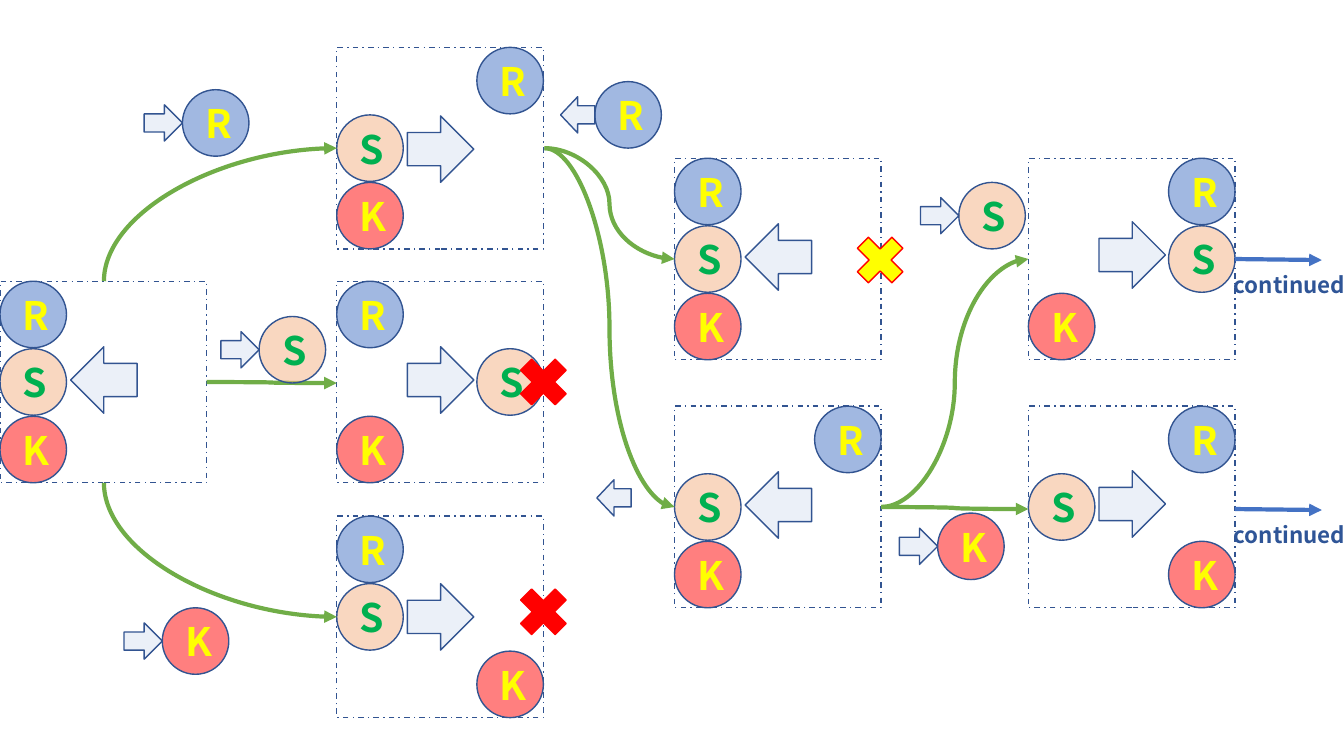
import lxml.etree
import pptx
import pptx.dml.color
import pptx.enum.dml
import pptx.enum.shapes
import pptx.enum.text
import pptx.oxml.ns
import pptx.util

Inches = pptx.util.Inches
PRESET = pptx.enum.shapes.MSO_SHAPE
CONNECTOR = pptx.enum.shapes.MSO_CONNECTOR
qn = pptx.oxml.ns.qn

OUTLINE = "325491"
BLUE = "4472C4"
GREEN = "70AD47"
RED = "FF0000"
YELLOW = "FFFF00"
TOKENS = {"R": (BLUE, YELLOW), "S": ("F4B183", "00B050"), "K": (RED, YELLOW)}
TOKEN_SIZE = 0.66
TOKEN_STEP = 0.67
RIGHT_BANK = 1.39
PANEL_WIDTH, PANEL_HEIGHT = 2.05, 2
ARROWS = {"left": PRESET.LEFT_ARROW, "right": PRESET.RIGHT_ARROW}


def rgb(hex_colour):
    """Turn a hex string into a colour."""
    return pptx.dml.color.RGBColor.from_string(hex_colour)


def apply(target, values):
    """Set every attribute named in a dict."""
    for name, value in values.items():
        setattr(target, name, value)


class RiverDiagram:
    """Draw the parts of the diagram on one slide in a shared style."""

    font = {"name": "Noto Sans CJK SC", "bold": True}
    frame = {"word_wrap": True, "auto_size": pptx.enum.text.MSO_AUTO_SIZE.SHAPE_TO_FIT_TEXT}

    def __init__(self, slide):
        """Keep the slide to draw on."""
        self.shapes = slide.shapes

    def shape(self, preset, left, top, width, height, fill=None, opacity=100, outline=OUTLINE):
        """Add an outlined preset shape with an optional translucent fill."""
        shape = self.shapes.add_shape(preset, Inches(left), Inches(top), Inches(width), Inches(height))
        shape.shadow.inherit = False
        shape.line.color.rgb = rgb(outline)
        shape.line.width = pptx.util.Pt(1)
        if fill is None:
            shape.fill.background()
            return shape
        shape.fill.solid()
        shape.fill.fore_color.rgb = rgb(fill)
        if opacity < 100:
            colour = shape._element.spPr.find(qn("a:solidFill")).find(qn("a:srgbClr"))
            lxml.etree.SubElement(colour, qn("a:alpha"), val=str(opacity * 1000))
        return shape

    def text(self, words, left, top, width, height, size, colour):
        """Add a centred bold text box."""
        box = self.shapes.add_textbox(Inches(left), Inches(top), Inches(width), Inches(height))
        apply(box.text_frame, self.frame)
        paragraph = box.text_frame.paragraphs[0]
        paragraph.alignment = pptx.enum.text.PP_ALIGN.CENTER
        run = paragraph.add_run()
        run.text = words
        apply(run.font, {**self.font, "size": pptx.util.Pt(size)})
        run.font.color.rgb = rgb(colour)

    def token(self, letter, left, top):
        """Add a lettered circle."""
        fill, colour = TOKENS[letter]
        self.shape(PRESET.OVAL, left, top, TOKEN_SIZE, TOKEN_SIZE, fill, 50)
        self.text(letter, left + 0.13, top + 0.05, 0.4, 0.57, 28, colour)

    def arrow(self, direction, left, top, width=TOKEN_SIZE, height=TOKEN_SIZE):
        """Add a pale block arrow."""
        self.shape(ARROWS[direction], left, top, width, height, BLUE, 10)

    def state(self, left, top, across, direction, arrow_drop):
        """Add a panel whose tokens stand on the left or the right bank."""
        for row, letter in enumerate(TOKENS):
            bank = RIGHT_BANK if letter in across else 0
            self.token(letter, left + bank, top + row * TOKEN_STEP)
        self.arrow(direction, left + 0.7, top + arrow_drop)
        panel = self.shape(PRESET.RECTANGLE, left, top, PANEL_WIDTH, PANEL_HEIGHT)
        panel.line.dash_style = pptx.enum.dml.MSO_LINE.DASH_DOT

    def move(self, letter, left, top, direction):
        """Add a carried token with its small arrow."""
        width = 0.38 if direction == "right" else 0.34
        self.arrow(direction, left - width, top + 0.15, width, 0.36)
        self.token(letter, left, top)

    def cross(self, left, top, fill):
        """Add a red-edged cross."""
        self.shape(PRESET.MATH_MULTIPLY, left, top, TOKEN_SIZE, TOKEN_SIZE, fill, outline=RED)

    def connector(self, kind, start, end, colour):
        """Add a connector that ends in an arrowhead."""
        link = self.shapes.add_connector(kind, *(Inches(value) for value in start + end))
        link.line.color.rgb = rgb(colour)
        link.line.width = pptx.util.Pt(3)
        lxml.etree.SubElement(link.line._get_or_add_ln(), qn("a:tailEnd"), type="triangle")
        lxml.etree.SubElement(link._element.spPr, qn("a:effectLst"))
        return link

    def bend(self, start, end):
        """Add a quarter curve that leaves vertically and arrives horizontally."""
        middle_x, middle_y = (start[0] + end[0]) / 2, (start[1] + end[1]) / 2
        turn = 1 if end[1] < start[1] else -1
        unturned = [(middle_x + turn * (y - middle_y), middle_y - turn * (x - middle_x))
                    for x, y in (start, end)]
        properties = self.connector(CONNECTOR.CURVE, *unturned, GREEN)._element.spPr
        properties.find(qn("a:xfrm")).set("rot", str(turn * 90 % 360 * 60000))
        properties.find(qn("a:prstGeom")).set("prst", "curvedConnector2")


presentation = pptx.Presentation()
apply(presentation, {"slide_width": Inches(13.33), "slide_height": Inches(7.5)})
diagram = RiverDiagram(presentation.slides.add_slide(presentation.slide_layouts[6]))

STATES = [
    (0, 2.79, "", "left", 0.65),
    (3.34, 0.47, "R", "right", 0.68),
    (3.34, 2.79, "S", "right", 0.65),
    (3.34, 5.12, "K", "right", 0.67),
    (6.69, 1.57, "", "left", 0.65),
    (6.69, 4.03, "R", "left", 0.65),
    (10.2, 1.57, "RS", "right", 0.63),
    (10.2, 4.03, "RK", "right", 0.64),
]
for state in STATES:
    diagram.state(*state)

for bend_end in [((1.03, 2.79), (3.34, 1.47)), ((1.03, 4.79), (3.34, 6.12))]:
    diagram.bend(*bend_end)

TRANSITIONS = [
    ((2.05, 3.79), (3.34, 3.8)),
    ((5.4, 1.47), (6.69, 2.57)),
    ((5.4, 1.47), (6.69, 5.03)),
    ((8.74, 5.03), (10.2, 2.57)),
    ((8.74, 5.03), (10.2, 5.05)),
]
for start, end in TRANSITIONS:
    diagram.connector(CONNECTOR.CURVE, start, end, GREEN)

MOVES = [
    ("R", 1.81, 0.89, "right"),
    ("S", 2.57, 3.14, "right"),
    ("K", 1.61, 6.03, "right"),
    ("R", 5.9, 0.81, "left"),
    ("S", 9.51, 1.81, "right"),
    ("K", 9.3, 5.09, "right"),
]
for move in MOVES:
    diagram.move(*move)
diagram.arrow("left", 5.92, 4.76, 0.34, 0.36)

for dead_end in [(5.06, 3.46, RED), (5.06, 5.74, RED), (8.4, 2.25, YELLOW)]:
    diagram.cross(*dead_end)

for exit_top in (2.57, 5.05):
    diagram.connector(CONNECTOR.STRAIGHT, (12.25, exit_top), (13.11, exit_top + 0.01), BLUE)
    diagram.text("continued", 12.13, exit_top + 0.07, 1.32, 0.37, 16, "2F5597")

presentation.save("out.pptx")
